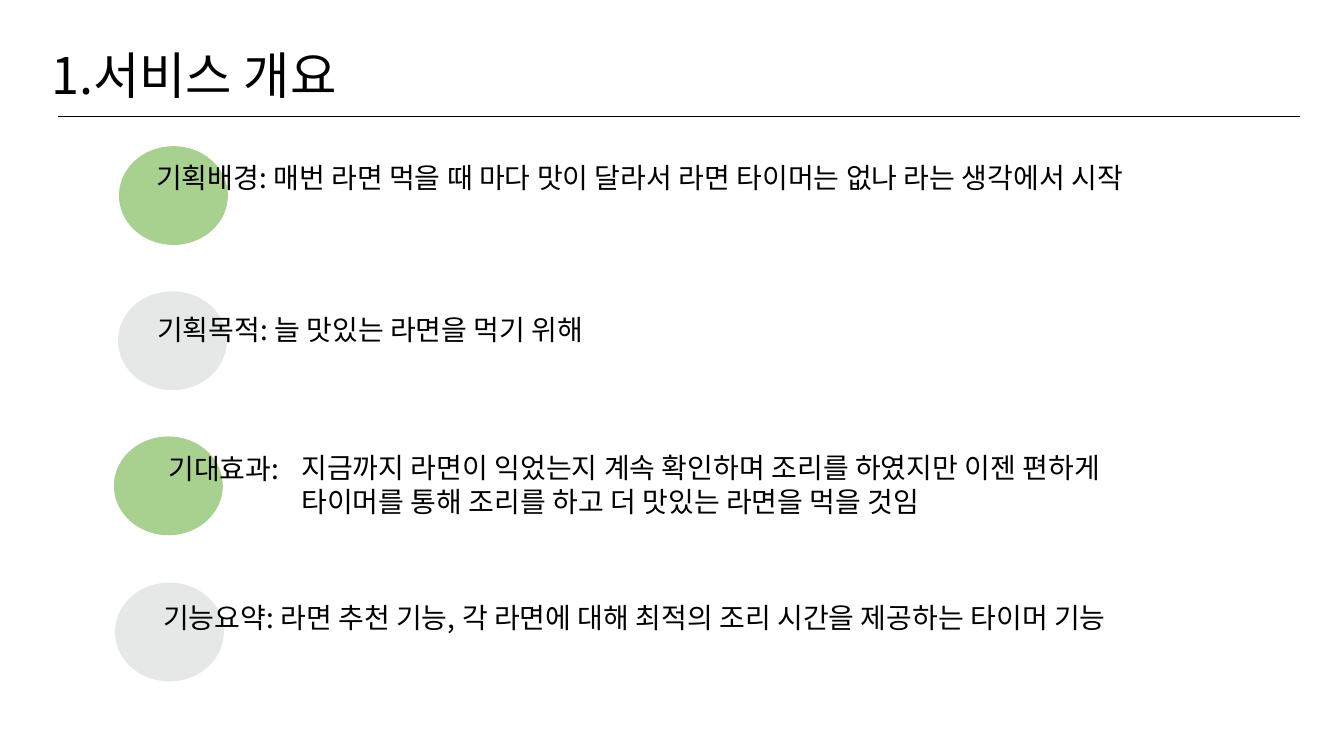
from pptx import Presentation
from pptx.dml.color import RGBColor
from pptx.enum.shapes import MSO_CONNECTOR, MSO_SHAPE
from pptx.oxml.ns import qn
from pptx.util import Inches, Pt
from lxml.etree import SubElement

THEME = {
    "font": "Noto Sans CJK KR",
    "title": Pt(36),
    "body": Pt(20),
    "text": RGBColor(0x00, 0x00, 0x00),
    "green": RGBColor(0xA8, 0xD0, 0x8F),
    "gray": RGBColor(0xE6, 0xE8, 0xE7),
}

TITLE = ("1.서비스 개요", (0.41, 0.39, 3.4, 0.7))
RULE = (0.58, 1.15, 12.89, 1.15)
DOT_SIZE = (1.08, 0.98)
DOTS = [  # left, top, colour
    (1.18, 1.45, "green"),
    (1.17, 2.89, "gray"),
    (1.13, 4.33, "green"),
    (1.14, 5.78, "gray"),
]
ITEMS = [  # text, (left, top, width, height)
    ("기획배경: 매번 라면 먹을 때 마다 맛이 달라서 라면 타이머는 없나 라는 생각에서 시작",
     (1.45, 1.54, 11.27, 0.43)),
    ("기획목적: 늘 맛있는 라면을 먹기 위해", (1.46, 3.05, 10.1, 0.43)),
    ("기대효과:", (1.57, 4.43, 1.45, 0.43)),
    ("지금까지 라면이 익었는지 계속 확인하며 조리를 하였지만 이젠 편하게 "
     "타이머를 통해 조리를 하고 더 맛있는 라면을 먹을 것임",
     (2.89, 4.42, 8.95, 0.76)),
    ("기능요약: 라면 추천 기능, 각 라면에 대해 최적의 조리 시간을 제공하는 타이머 기능",
     (1.52, 5.91, 11.23, 0.43)),
]


def add_text(s, text, box, size, wrap=True):
    tf = s.shapes.add_textbox(*map(Inches, box)).text_frame
    tf.word_wrap = wrap
    r = tf.paragraphs[0].add_run()
    r.text = text
    for name, value in {"name": THEME["font"], "size": THEME[size]}.items():
        setattr(r.font, name, value)
    r.font.color.rgb = THEME["text"]
    # Korean glyphs take their face from the East Asian font slot
    SubElement(r.font._element, qn("a:ea")).set("typeface", THEME["font"])


def add_rule(s):
    line = s.shapes.add_connector(MSO_CONNECTOR.STRAIGHT, *map(Inches, RULE))
    line.line.color.rgb = THEME["text"]
    line.line.width = Pt(0.5)
    SubElement(line._element.spPr, qn("a:effectLst"))


def add_dot(s, left, top, color):
    sp = s.shapes.add_shape(MSO_SHAPE.OVAL, *map(Inches, (left, top, *DOT_SIZE)))
    sp.shadow.inherit = False
    sp.fill.solid()
    sp.fill.fore_color.rgb = THEME[color]
    sp.line.fill.background()


def main():
    prs = Presentation()
    prs.slide_width, prs.slide_height = Inches(13.33), Inches(7.5)
    s = prs.slides.add_slide(prs.slide_layouts[6])
    add_text(s, *TITLE, "title", wrap=False)
    add_rule(s)
    for dot in DOTS:
        add_dot(s, *dot)
    for text, box in ITEMS:
        add_text(s, text, box, "body")
    prs.save("out.pptx")


if __name__ == "__main__":
    main()
